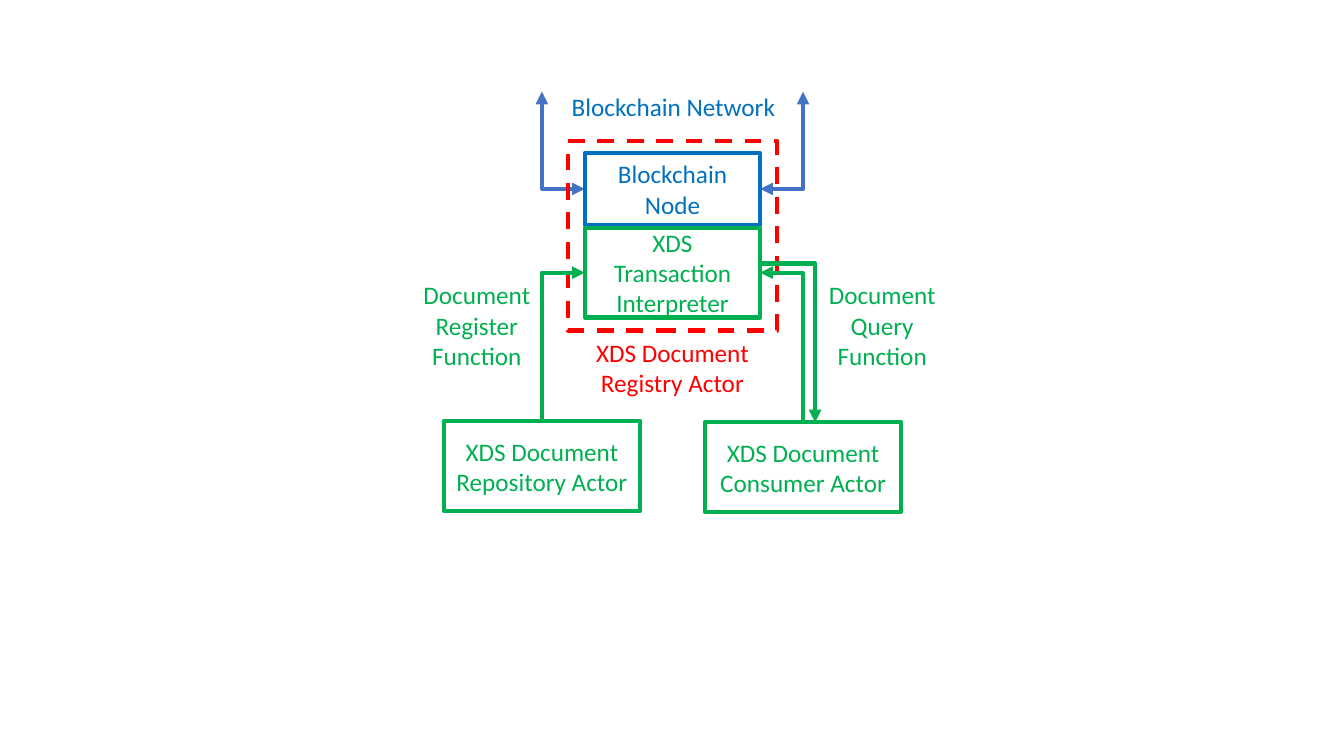
from dataclasses import dataclass

from lxml.etree import SubElement
from pptx import Presentation
from pptx.dml.color import RGBColor
from pptx.enum.dml import MSO_LINE
from pptx.enum.shapes import MSO_CONNECTOR, MSO_SHAPE
from pptx.enum.text import MSO_ANCHOR, PP_ALIGN
from pptx.oxml.ns import qn
from pptx.util import Inches, Pt


@dataclass(frozen=True)
class Theme:
    """Colours, font and sizes used on the slide."""
    node: str = "0070C0"
    link: str = "4472C4"
    document: str = "00B050"
    registry: str = "FF0000"
    font: str = "Calibri"
    text_size: int = 18
    line_width: int = 3


@dataclass(frozen=True)
class Box:
    """A rectangle in inches."""
    left: float
    top: float
    width: float
    height: float

    @property
    def right(self):
        """Return the right edge."""
        return self.left + self.width

    @property
    def centre(self):
        """Return the horizontal centre."""
        return self.left + self.width / 2

    @property
    def middle(self):
        """Return the vertical centre."""
        return self.top + self.height / 2

    def lengths(self):
        """Return the position and size as slide lengths."""
        return [Inches(n) for n in (self.left, self.top, self.width, self.height)]


THEME = Theme()


def write_text(shape, text, color, size=THEME.text_size, align=PP_ALIGN.CENTER):
    """Put formatted text in the middle of a shape."""
    frame = shape.text_frame
    frame.word_wrap = True
    frame.vertical_anchor = MSO_ANCHOR.MIDDLE
    para = frame.paragraphs[0]
    para.alignment = align
    span = para.add_run()
    span.text = text
    span.font.name = THEME.font
    span.font.size = Pt(size)
    span.font.color.rgb = RGBColor.from_string(color)


def add_frame(page, box, color, text=None, dash=None):
    """Draw an outlined rectangle with optional text."""
    shape = page.shapes.add_shape(MSO_SHAPE.RECTANGLE, *box.lengths())
    shape.shadow.inherit = False
    shape.fill.background()
    shape.line.color.rgb = RGBColor.from_string(color)
    shape.line.width = Pt(THEME.line_width)
    if dash:
        shape.line.dash_style = dash
    if text:
        write_text(shape, text, color)


def add_label(page, box, text, color):
    """Place a text label without an outline."""
    write_text(page.shapes.add_textbox(*box.lengths()), text, color)


def add_elbow(page, start, end, color, arrows):
    """Draw a line that runs sideways from start, then turns towards end."""
    points = [Inches(n) for n in (*start, *end)]
    elbow = page.shapes.add_connector(MSO_CONNECTOR.ELBOW, *points)
    elbow.line.color.rgb = RGBColor.from_string(color)
    elbow.line.width = Pt(THEME.line_width)
    properties = elbow._element.spPr
    properties.find(qn("a:prstGeom")).set("prst", "bentConnector2")
    outline = properties.find(qn("a:ln"))
    for arrow in arrows:
        SubElement(outline, qn(f"a:{arrow}"), type="triangle")
    SubElement(properties, qn("a:effectLst"))


def draw_network(page, node, lanes):
    """Link the node to the blockchain network above it."""
    top = node.top - 0.61
    for edge, lane in zip((node.left, node.right), lanes):
        add_elbow(page, (edge, node.middle), (lane, top), THEME.link,
                  ("headEnd", "tailEnd"))
    add_label(page, Box(node.centre - 1.71, node.top - 0.72, 3.44, 0.52),
              "Blockchain Network", THEME.node)


def draw_registry(page, node, interpreter):
    """Draw the registry actor with its node and interpreter."""
    add_frame(page, node, THEME.node, "Blockchain Node")
    add_frame(page, interpreter, THEME.document, "XDS Transaction Interpreter")
    add_frame(page, Box(node.left - 0.17, node.top - 0.12, 2.08, 1.88),
              THEME.registry, dash=MSO_LINE.DASH)
    add_label(page, Box(node.left, interpreter.top + 0.94, node.width, 0.89),
              "XDS Document Registry Actor", THEME.registry)


def draw_actor(page, box, name, function, label_left, entry):
    """Draw an actor, its function label and its line into the interpreter."""
    add_frame(page, box, THEME.document, name)
    add_label(page, Box(label_left, 2.78, 1.34, 0.89), function, THEME.document)
    add_elbow(page, entry, (box.centre, box.top), THEME.document, ("headEnd",))


def build_slide(page):
    """Lay out the registry, its network and the two actors."""
    node = Box(5.8, 1.52, 1.74, 0.71)
    interpreter = Box(node.left, 2.26, node.width, 0.89)
    repository = Box(4.4, 4.18, 1.95, 0.89)
    consumer = Box(6.99, 4.19, 1.95, 0.89)
    draw_network(page, node, (repository.centre, consumer.centre))
    draw_registry(page, node, interpreter)
    draw_actor(page, repository, "XDS Document Repository Actor",
               "Document Register Function", 4.06,
               (interpreter.left, interpreter.middle))
    draw_actor(page, consumer, "XDS Document Consumer Actor",
               "Document Query Function", 8.08,
               (interpreter.right, interpreter.middle))
    add_elbow(page, (interpreter.right, interpreter.middle - 0.09),
              (consumer.centre + 0.12, consumer.top), THEME.document, ("tailEnd",))


def main():
    """Create and save the deck."""
    deck = Presentation()
    deck.slide_width = Inches(13.33)
    deck.slide_height = Inches(7.5)
    build_slide(deck.slides.add_slide(deck.slide_layouts[6]))
    deck.save("out.pptx")


if __name__ == "__main__":
    main()
